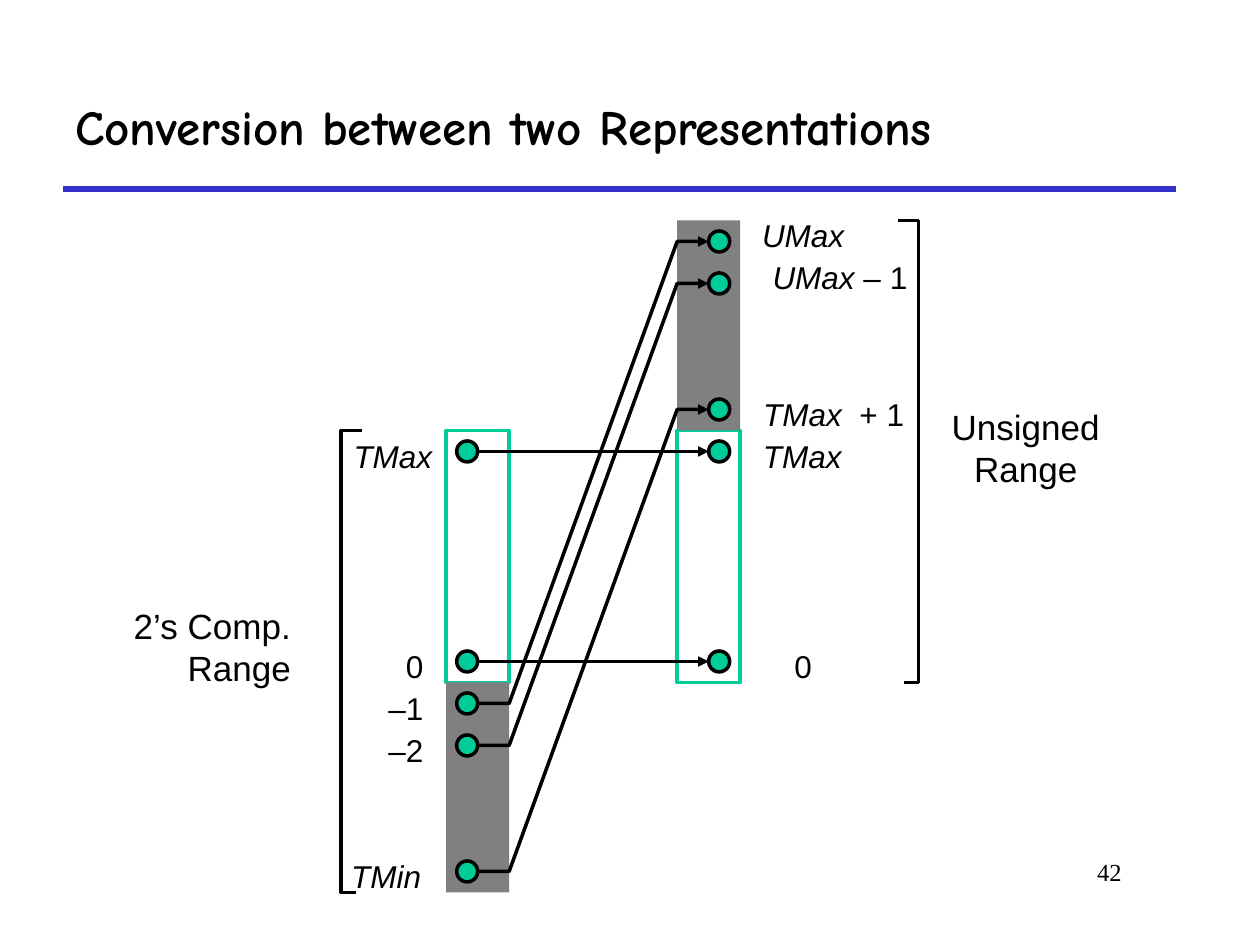
from dataclasses import dataclass

from lxml import etree
from pptx import Presentation
from pptx.dml.color import RGBColor
from pptx.enum.shapes import MSO_CONNECTOR, MSO_SHAPE
from pptx.enum.text import MSO_ANCHOR, PP_ALIGN
from pptx.oxml.ns import qn
from pptx.util import Inches, Pt

LEFT, CENTER, RIGHT = PP_ALIGN.LEFT, PP_ALIGN.CENTER, PP_ALIGN.RIGHT
TOP, MIDDLE = MSO_ANCHOR.TOP, MSO_ANCHOR.MIDDLE
RECT, OVAL = MSO_SHAPE.RECTANGLE, MSO_SHAPE.OVAL
STRAIGHT = MSO_CONNECTOR.STRAIGHT

COLORS = {"ink": "000000", "rule": "3333CC", "green": "00CC99",
          "gray": "808080", "white": "FFFFFF"}
SIGNED_BAR, UNSIGNED_BAR, BAR_COLS = 5, 16, 3
SIGNED_DOT, UNSIGNED_DOT = 6, 18
HALF_ROWS, SHARED_ROWS = 5, 6
SHARED_TOP = HALF_ROWS
SHARED_END = SHARED_TOP + SHARED_ROWS
STRAIGHT_ROWS = (5, 10)
WRAPPED_ROWS = ((11, 0), (12, 1), (15, 4))


@dataclass
class Grid:
    """Maps columns and rows inside a box to inches."""
    left: float
    top: float
    width: float
    height: float
    cols: float
    rows: float

    def x(self, col):
        """Return the position of a column."""
        return self.left + col * self.width / self.cols

    def y(self, row):
        """Return the position of a row."""
        return self.top + row * self.height / self.rows


def rgb(name):
    """Return a named colour."""
    return RGBColor.from_string(COLORS[name])


def add_text(s, box, lines, size=18, font="Arial", align=LEFT, bold=False,
             anchor=TOP):
    """Add lines of text, each a list of (text, italic) runs."""
    sp = s.shapes.add_textbox(*map(Inches, box))
    tf = sp.text_frame
    tf.word_wrap, tf.vertical_anchor = True, anchor
    for i, runs in enumerate(lines):
        p = tf.add_paragraph() if i else tf.paragraphs[0]
        p.alignment = align
        for text, italic in runs:
            r = p.add_run()
            r.text = text
            r.font.name, r.font.size = font, Pt(size)
            r.font.bold, r.font.italic = bold, italic
            r.font.color.rgb = rgb("ink")


def style_line(line, color="ink", width=2, arrow=False):
    """Set the colour, width and arrowhead of a line."""
    line.color.rgb = rgb(color)
    line.width = Pt(width)
    if arrow:
        ln = line._get_or_add_ln()
        etree.SubElement(ln, qn("a:tailEnd"), type="triangle")


def add_shape(s, kind, box, fill, outline=None):
    """Add a filled shape with an optional outline."""
    sp = s.shapes.add_shape(kind, *map(Inches, box))
    sp.shadow.inherit = False
    sp.fill.solid()
    sp.fill.fore_color.rgb = rgb(fill)
    if outline:
        style_line(sp.line, outline)
    else:
        sp.line.fill.background()


def add_line(s, start, end, **style):
    """Add a straight connector between two points."""
    c = s.shapes.add_connector(STRAIGHT, *map(Inches, start + end))
    style_line(c.line, **style)
    etree.SubElement(c._element.spPr, qn("a:effectLst"))


def add_path(s, points, arrow=False):
    """Add an open unfilled outline through the points."""
    start, *rest = [(Inches(x), Inches(y)) for x, y in points]
    fb = s.shapes.build_freeform(*start)
    fb.add_line_segments(rest, close=False)
    sp = fb.convert_to_shape()
    sp.shadow.inherit = False
    sp.fill.background()
    style_line(sp.line, arrow=arrow)


def add_frame(s, w, h):
    """Add the title, its rule and the page number."""
    add_line(s, (w * 0.05, h * 0.2), (w * 0.933, h * 0.2), color="rule", width=3)
    add_text(s, (w * 0.05, h / 15, w * 0.883, h * 2 / 15),
             [[("Conversion between two Representations", False)]],
             size=28, font="Comic Neue", bold=True, anchor=MIDDLE)
    add_text(s, (w * 0.758, h * 0.9, w * 0.142, h / 15), [[("42", False)]],
             size=14, font="Times New Roman", align=RIGHT)


def add_bars(s, g):
    """Add the signed and unsigned bars."""
    def bar(col, row, rows, fill, outline=None):
        """Add one section of a bar."""
        box = (g.x(col), g.y(row), g.x(BAR_COLS) - g.x(0), g.y(rows) - g.y(0))
        add_shape(s, RECT, box, fill, outline)

    for col in (UNSIGNED_BAR, SIGNED_BAR):
        bar(col, SHARED_TOP, SHARED_ROWS, "white", "green")
    bar(SIGNED_BAR, SHARED_END, HALF_ROWS, "gray")
    bar(UNSIGNED_BAR, 0, HALF_ROWS, "gray")


def add_mapping(s, g):
    """Add the value dots and the arrows that pair them."""
    pairs = [(row, row) for row in STRAIGHT_ROWS] + list(WRAPPED_ROWS)
    size = g.x(1) - g.x(0)
    for a, b in pairs:
        for col, row in ((SIGNED_DOT, a), (UNSIGNED_DOT, b)):
            box = (g.x(col - 0.5), g.y(row + 0.5) - size / 2, size, size)
            add_shape(s, OVAL, box, "green", "ink")
    for a, b in pairs:
        start = (g.x(SIGNED_DOT + 0.5), g.y(a + 0.5))
        end = (g.x(UNSIGNED_DOT - 0.5), g.y(b + 0.5))
        if a == b:
            add_line(s, start, end, arrow=True)
        else:
            bends = [(g.x(SIGNED_BAR + BAR_COLS), start[1]),
                     (g.x(UNSIGNED_BAR), end[1])]
            add_path(s, [start, *bends, end], arrow=True)


def add_labels(s, g):
    """Add the value labels beside the bars."""
    labels = [
        (-0.5, 5, 10, RIGHT, [("0", False)]),
        (-1, 5.93, 5, RIGHT, [("TMax", True)]),
        (-1, 5.4, 15, RIGHT, [("TMin", True)]),
        (-0.5, 5, 11, RIGHT, [("–1", False)]),
        (-0.5, 5, 12, RIGHT, [("–2", False)]),
        (19.5, 5, 10, CENTER, [("0", False)]),
        (19, 6, -0.25, CENTER, [("UMax", True)]),
        (19, 9.5, 0.75, CENTER, [("UMax", True), (" – 1", False)]),
        (19, 5.93, 5, CENTER, [("TMax", True)]),
        (19, 8.9, 4, CENTER, [("TMax  ", True), ("+ 1", False)]),
    ]
    for col, cols, row, align, runs in labels:
        box = (g.x(col), g.y(row), g.x(cols) - g.x(0), g.y(1.2) - g.y(0))
        add_text(s, box, [runs], align=align)


def add_range(s, g, side, tips, top, caption, words, align):
    """Add a range bracket and its two-line caption."""
    low_tip, high_tip = tips
    bottom = top + HALF_ROWS + SHARED_ROWS
    add_path(s, [(g.x(low_tip), g.y(bottom)), (g.x(side), g.y(bottom)),
                 (g.x(side), g.y(top)), (g.x(high_tip), g.y(top))])
    col, row, cols = caption
    box = (g.x(col), g.y(row), g.x(cols) - g.x(0), g.y(2.3) - g.y(0))
    add_text(s, box, [[(word, False)] for word in words], size=20, align=align)


def main():
    """Build and save the slide."""
    prs = Presentation()
    prs.slide_width, prs.slide_height = Inches(10), Inches(7.5)
    w, h = prs.slide_width.inches, prs.slide_height.inches
    s = prs.slides.add_slide(prs.slide_layouts[6])
    g = Grid(w * 0.2708, h * 0.2333, w * 0.4583, h * 0.7111, 27.5, 16)
    add_frame(s, w, h)
    add_bars(s, g)
    add_mapping(s, g)
    add_labels(s, g)
    add_range(s, g, 0, (0.7, 1), SHARED_TOP, (-11.5, 9, 9.7),
              ("2’s Comp.", "Range"), RIGHT)
    add_range(s, g, 27.5, (26.8, 26.5), 0, (28, 4.25, 9.2),
              ("Unsigned", "Range"), CENTER)
    prs.save("out.pptx")


if __name__ == "__main__":
    main()
